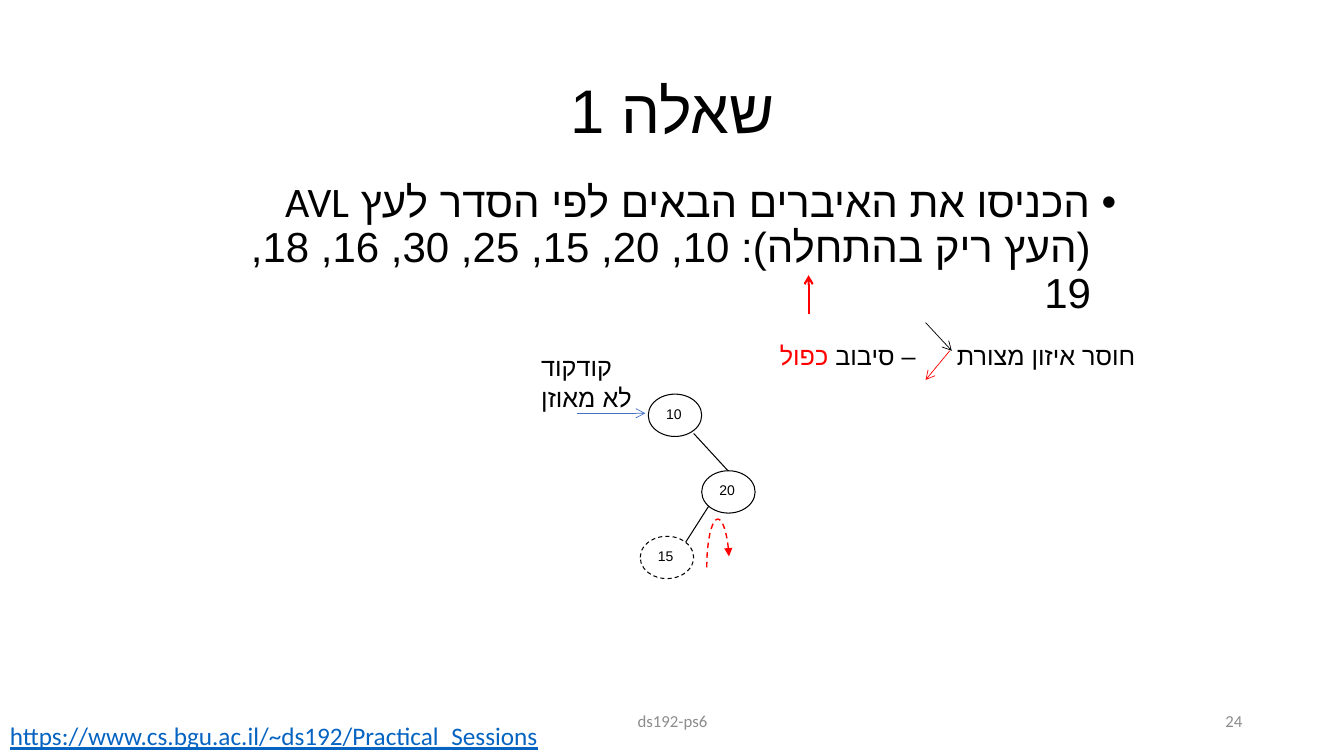
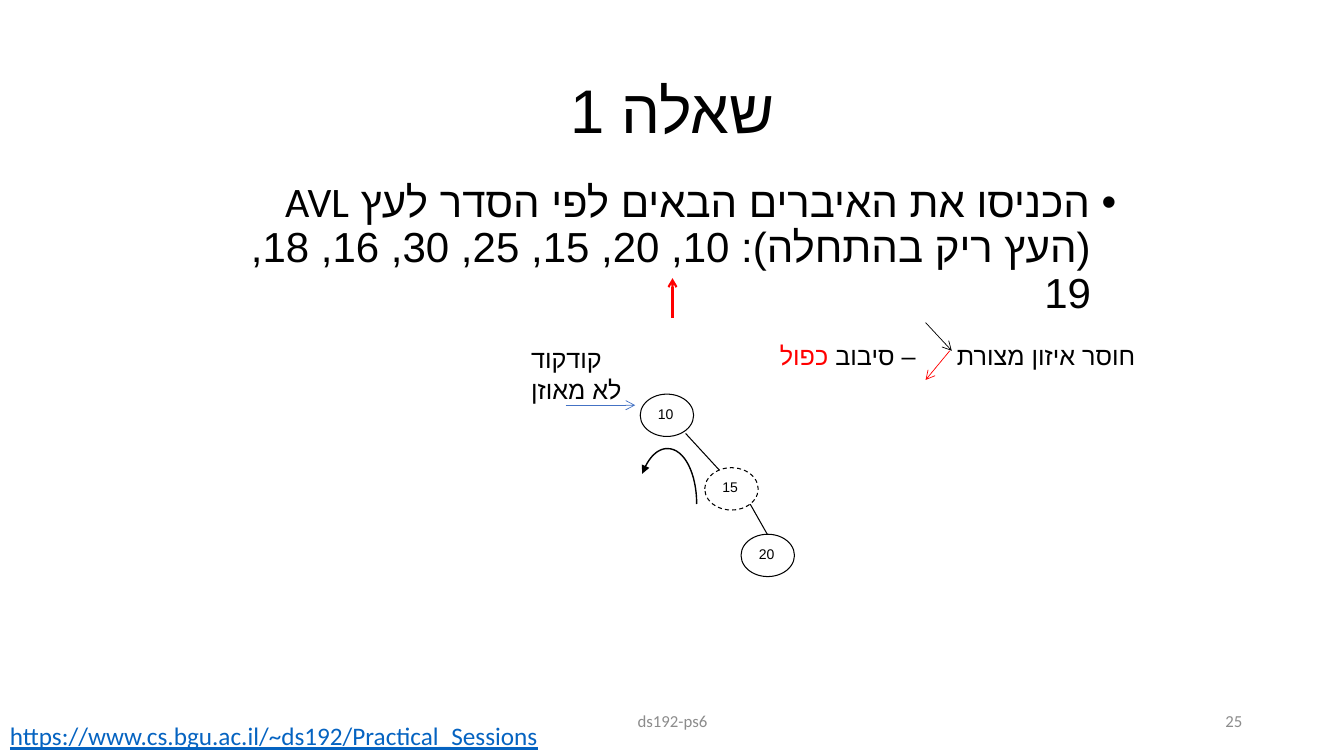
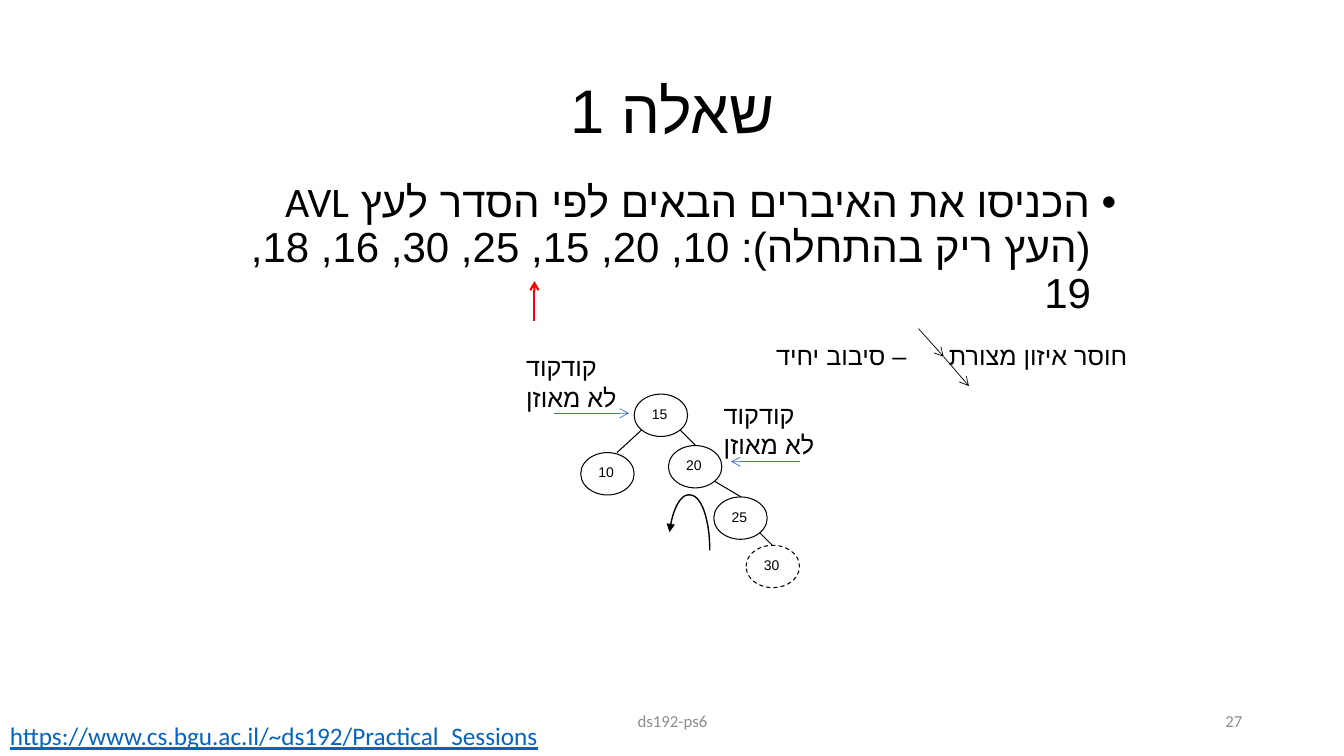
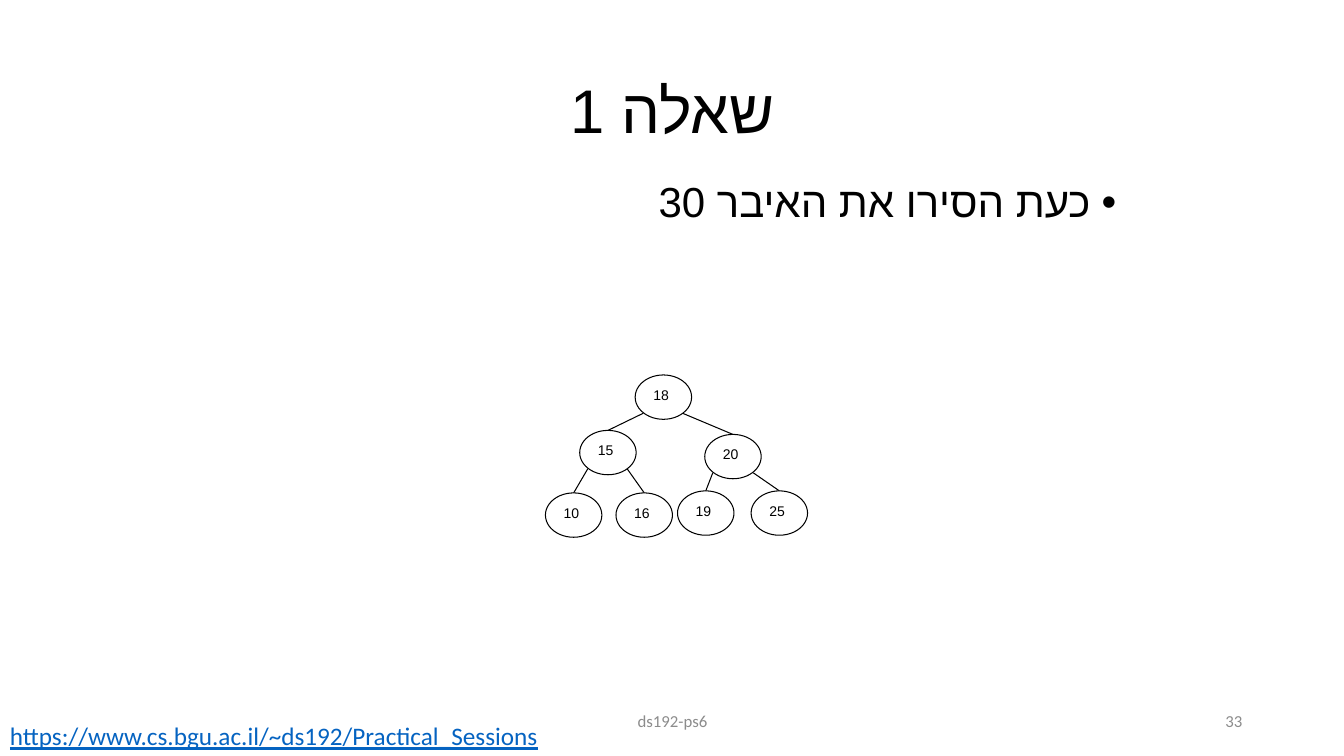
from lxml import etree
from pptx import Presentation
from pptx import util as u
from pptx.dml.color import RGBColor
from pptx.enum import dml, shapes, text
from pptx.oxml import ns

BLACK = RGBColor(0x00, 0x00, 0x00)
WHITE = RGBColor(0xFF, 0xFF, 0xFF)
RED = RGBColor(0xFF, 0x00, 0x00)
BLUE = RGBColor(0x44, 0x72, 0xC4)
GRAY = RGBColor(0x8C, 0x8C, 0x8C)
LINK = RGBColor(0x05, 0x63, 0xC1)

LEFT = text.PP_ALIGN.LEFT
CENTER = text.PP_ALIGN.CENTER
RIGHT = text.PP_ALIGN.RIGHT
TOP = text.MSO_ANCHOR.TOP
MIDDLE = text.MSO_ANCHOR.MIDDLE

INSERT = "הכניסו את האיברים הבאים לפי הסדר לעץ AVL (העץ ריק בהתחלה): 10, 20, 15, 25, 30, 16, 18, 19"
REMOVE = "כעת הסירו את האיבר 30"
DOUBLE_ROTATION = {
    "right": 11.36,
    "dash_right": 9.18,
    "runs": [("– סיבוב ", BLACK), ("כפול", RED)],
    "arrows": [((9.42, 3.48), (9.18, 3.77), RED), ((9.18, 3.2), (9.44, 3.48), BLACK)],
}
SINGLE_ROTATION = {
    "right": 11.28,
    "dash_right": 9.09,
    "runs": [("– סיבוב יחיד", BLACK)],
    "arrows": [((9.11, 3.26), (9.36, 3.54), BLACK), ((9.36, 3.54), (9.61, 3.83), BLACK)],
}

SLIDES = [
    {
        "number": "24", "title_font": "Calibri", "body": INSERT, "node_size": (0.53, 0.42),
        "nodes": {"20": (6.96, 4.67), "10": (6.43, 3.91), "15": (6.35, 5.32)},
        "new_node": "15",
        "edges": [((6.88, 4.3), (7.22, 4.67)), ((7.03, 5.02), (6.8, 5.38))],
        "pointer": (8.02, 3.12),
        "rotation": DOUBLE_ROTATION,
        "unbalanced": [((5.27, 3.44), (5.72, 4.1), (6.4, 4.1))],
        "turn": [(7.01, 5.63), (7.01, 5.36), (7.06, 5.15), (7.12, 5.15),
                 (7.17, 5.15), (7.22, 5.31), (7.23, 5.52)],
        "turn_color": RED,
    },
    {
        "number": "25", "title_font": "Lato", "body": INSERT, "node_size": (0.53, 0.42),
        "nodes": {"10": (6.35, 3.91), "15": (6.99, 4.64), "20": (7.35, 5.3)},
        "new_node": "15",
        "edges": [((6.8, 4.3), (7.14, 4.67)), ((7.44, 5), (7.61, 5.3))],
        "pointer": (6.67, 3.15),
        "rotation": DOUBLE_ROTATION,
        "unbalanced": [((5.17, 3.36), (5.61, 4.02), (6.3, 4.02))],
        "turn": [(6.91, 5), (6.91, 4.7), (6.79, 4.45), (6.62, 4.45),
                 (6.52, 4.45), (6.43, 4.54), (6.37, 4.7)],
        "turn_color": BLACK,
    },
    {
        "number": "27", "title_font": "Calibri", "body": INSERT, "node_size": (0.53, 0.42),
        "nodes": {"10": (5.76, 4.49), "20": (6.63, 4.42), "15": (6.29, 3.91),
                  "25": (7.08, 4.93), "30": (7.4, 5.41)},
        "new_node": "30",
        "edges": [((6.12, 4.49), (6.37, 4.26)), ((6.74, 4.26), (6.9, 4.42)),
                  ((7.53, 5.28), (7.66, 5.41)), ((7.08, 4.77), (7.35, 4.93))],
        "pointer": (5.3, 3.18),
        "rotation": SINGLE_ROTATION,
        "unbalanced": [((7.08, 3.91), (7.93, 4.58), (7.25, 4.58)),
                       ((5.12, 3.44), (5.49, 4.1), (6.24, 4.1))],
        "turn": [(7.04, 5.46), (7.04, 5.16), (6.96, 4.91), (6.84, 4.91),
                 (6.75, 4.9), (6.67, 5.05), (6.64, 5.28)],
        "turn_color": BLACK,
    },
    {
        "number": "33", "title_font": "Calibri", "body": REMOVE, "node_size": (0.56, 0.44),
        "nodes": {"10": (5.41, 4.89), "25": (7.45, 4.87), "15": (5.75, 4.27), "20": (6.99, 4.31),
                  "18": (6.3, 3.72), "16": (6.11, 4.89), "19": (6.72, 4.87)},
        "edges": [((5.69, 4.89), (5.83, 4.65)), ((7.27, 4.31), (6.77, 4.1)),
                  ((6.38, 4.1), (6.03, 4.27)), ((7.47, 4.69), (7.73, 4.87)),
                  ((6.22, 4.65), (6.39, 4.89)), ((7.07, 4.69), (7, 4.87))],
    },
]


def add_text(slide, box, runs, size, color=BLACK, font="Calibri", hebrew_font="Arial",
             align=LEFT, anchor=TOP, rtl=False, wrap=True):
    shape = slide.shapes.add_textbox(*[u.Inches(length) for length in box])
    frame = shape.text_frame
    frame.word_wrap = wrap
    frame.vertical_anchor = anchor
    paragraph = frame.paragraphs[0]
    paragraph.alignment = align
    if rtl:
        paragraph._p.get_or_add_pPr().set("rtl", "1")
    for words, run_color in [(runs, color)] if isinstance(runs, str) else runs:
        run = paragraph.add_run()
        run.text = words
        run.font.size = u.Pt(size)
        run.font.name = font
        run.font.color.rgb = run_color
        etree.SubElement(run._r.get_or_add_rPr(), ns.qn("a:cs"), typeface=hebrew_font)
    return paragraph


def add_line(slide, start, end, color, width, head=None):
    line = slide.shapes.add_connector(
        shapes.MSO_CONNECTOR.STRAIGHT, *[u.Inches(length) for length in start + end])
    line.line.color.rgb = color
    line.line.width = u.Pt(width)
    if head:
        etree.SubElement(line.line._get_or_add_ln(), ns.qn("a:tailEnd"), type=head)
    etree.SubElement(line._element.spPr, ns.qn("a:effectLst"))


presentation = Presentation()
presentation.slide_width = u.Inches(13.33)
presentation.slide_height = u.Inches(7.5)

for content in SLIDES:
    slide = presentation.slides.add_slide(presentation.slide_layouts[6])

    title = add_text(slide, (0.92, 0.4, 11.5, 1.45), "שאלה 1", 44,
                     font=content["title_font"], align=CENTER, anchor=MIDDLE, rtl=True)
    title.line_spacing = 0.9
    body = add_text(slide, (2.17, 1.75, 9, 1.13), content["body"], 30, align=RIGHT, rtl=True)
    body.line_spacing = 0.9
    properties = body._p.get_or_add_pPr()
    properties.set("marL", str(u.Inches(0.25)))
    properties.set("indent", str(u.Inches(-0.25)))
    etree.SubElement(properties, ns.qn("a:buFont"), typeface="Arial")
    etree.SubElement(properties, ns.qn("a:buChar"), char="•")

    for left, width, words, align in [(4.42, 4.5, "ds192-ps6", CENTER), (9.42, 3, content["number"], RIGHT)]:
        add_text(slide, (left, 6.95, width, 0.4), words, 12, GRAY,
                 hebrew_font="Calibri", align=align, anchor=MIDDLE, rtl=True)
    address = add_text(slide, (0, 7.1, 5.5, 0.4), "https://www.cs.bgu.ac.il/~ds192/Practical_Sessions",
                       18, LINK, wrap=False)
    address.runs[0].font.underline = True

    for start, end in content["edges"]:
        add_line(slide, start, end, BLACK, 0.75)
    for value, corner in content["nodes"].items():
        node = slide.shapes.add_shape(
            shapes.MSO_SHAPE.OVAL, *[u.Inches(length) for length in corner + content["node_size"]])
        node.shadow.inherit = False
        node.fill.solid()
        node.fill.fore_color.rgb = WHITE
        node.line.color.rgb = BLACK
        node.line.width = u.Pt(0.75)
        if value == content.get("new_node"):
            node.line.dash_style = dml.MSO_LINE.DASH
        node.text_frame.text = value
        node.text_frame.vertical_anchor = TOP
        paragraph = node.text_frame.paragraphs[0]
        paragraph.alignment = LEFT
        font = paragraph.runs[0].font
        font.size = u.Pt(10)
        font.name = "Arial"
        font.color.rgb = BLACK

    if "rotation" not in content:
        continue

    x, y = content["pointer"]
    add_line(slide, (x, y), (x, y - 0.39), RED, 1.5, "arrow")

    rotation = content["rotation"]
    for right, width, runs in [(rotation["right"], 2, "חוסר איזון מצורת"),
                               (rotation["dash_right"], 1.6, rotation["runs"])]:
        add_text(slide, (right - width, 3.33, width, 0.4), runs, 18, align=RIGHT, rtl=True)
    for start, end, color in rotation["arrows"]:
        add_line(slide, start, end, color, 0.5, "arrow")

    for corner, start, end in content["unbalanced"]:
        add_text(slide, corner + (1.16, 0.71), "קודקוד לא מאוזן", 18)
        add_line(slide, start, end, BLUE, 0.5, "arrow")

    turn = [(u.Inches(x), u.Inches(y)) for x, y in content["turn"]]
    points = []
    for first in (0, 3):
        a, b, c, d = turn[first:first + 4]
        for step in range(1, 17):
            t = step / 16
            points.append([round((1 - t) ** 3 * a[i] + 3 * (1 - t) ** 2 * t * b[i]
                                 + 3 * (1 - t) * t ** 2 * c[i] + t ** 3 * d[i]) for i in (0, 1)])
    builder = slide.shapes.build_freeform(*turn[0])
    builder.add_line_segments(points, close=False)
    curve = builder.convert_to_shape()
    curve.shadow.inherit = False
    curve.fill.background()
    curve.line.color.rgb = content["turn_color"]
    curve.line.width = u.Pt(1)
    if content["turn_color"] == RED:
        curve.line.dash_style = dml.MSO_LINE.DASH
    etree.SubElement(curve.line._get_or_add_ln(), ns.qn("a:tailEnd"), type="triangle")

presentation.save("out.pptx")
